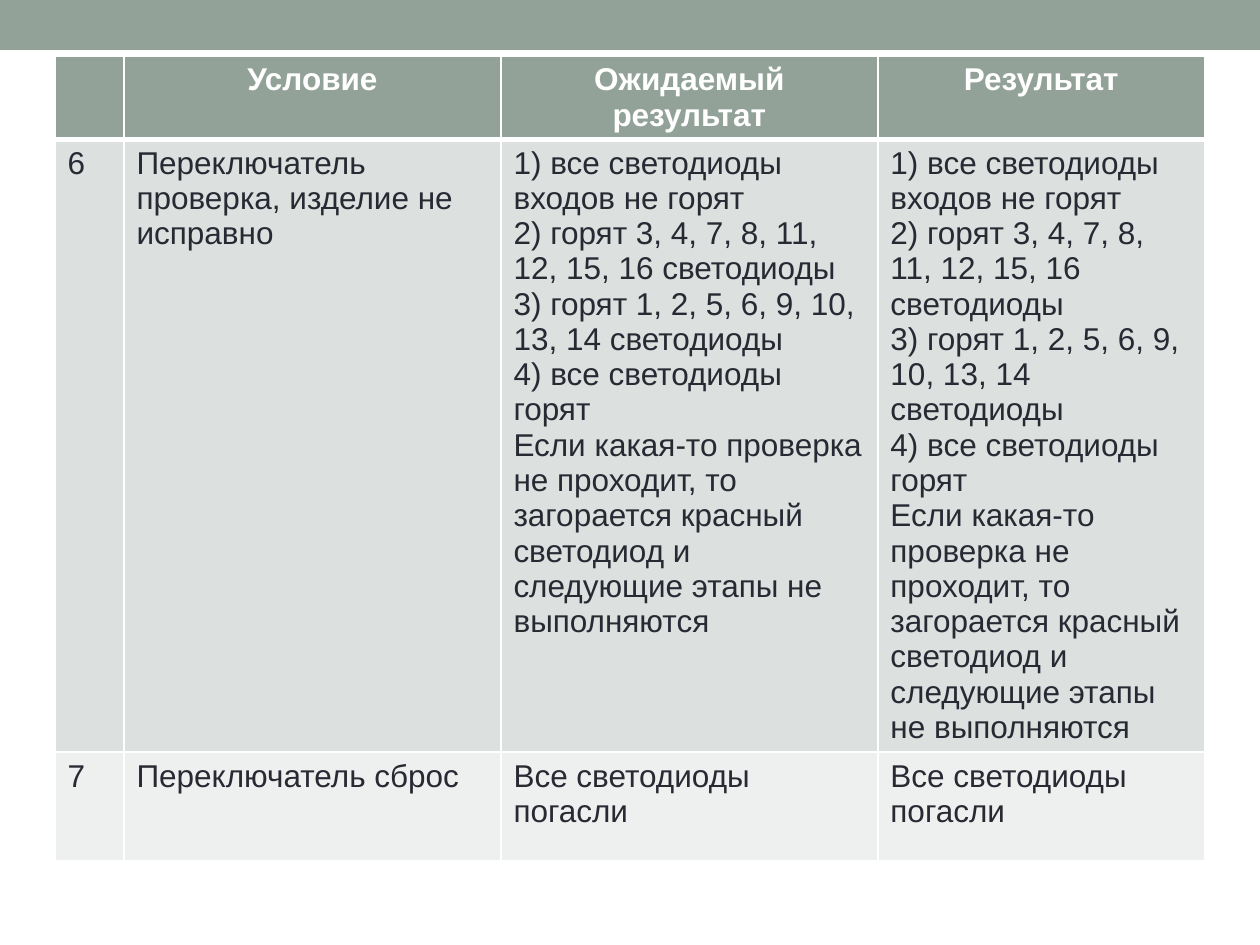
import pptx
import pptx.util
import pptx.dml.color
import pptx.enum.shapes
import pptx.enum.text
import pptx.oxml
import pptx.oxml.ns

PX = pptx.util.Inches(1) / 126
COLORS = {"sage": "93A299", "band1": "DCE0DE", "band2": "EEF0EF",
          "white": "FFFFFF", "ink": "292934"}
RGB = {name: pptx.dml.color.RGBColor.from_string(h) for name, h in COLORS.items()}


def px(n):
    return pptx.util.Emu(round(n * PX))


def set_borders(cell, widths):
    """Draw white borders; widths maps side letters to points."""
    tcPr = cell._tc.get_or_add_tcPr()
    for i, (side, pt) in enumerate(widths.items()):
        tcPr.insert(i, pptx.oxml.parse_xml(
            f'<a:ln{side} {pptx.oxml.ns.nsdecls("a")} w="{pptx.util.Pt(pt)}">'
            f'<a:solidFill><a:srgbClr val="{COLORS["white"]}"/></a:solidFill></a:ln{side}>'))


prs = pptx.Presentation()
prs.slide_width, prs.slide_height = px(1260), px(945)
s = prs.slides.add_slide(prs.slide_layouts[6])

bar = s.shapes.add_shape(pptx.enum.shapes.MSO_SHAPE.RECTANGLE, 0, 0, px(1260), px(50))
bar.shadow.inherit = False
bar.fill.solid()
bar.fill.fore_color.rgb = RGB["sage"]
bar.line.fill.background()

checks = "\n".join([
    "1) все светодиоды входов не горят",
    "2) горят 3, 4, 7, 8, 11, 12, 15, 16 светодиоды",
    "3) горят 1, 2, 5, 6, 9, 10, 13, 14 светодиоды",
    "4) все светодиоды горят",
    "Если какая-то проверка не проходит, то загорается красный светодиод "
    "и следующие этапы не выполняются",
])
all_off = "Все светодиоды погасли"
rows = [
    ["", "Условие", "Ожидаемый результат", "Результат"],
    ["6", "Переключатель проверка, изделие не исправно", checks, checks],
    ["7", "Переключатель сброс", all_off, all_off],
]
col_widths = [69, 377, 377, 327]
row_heights = [82, 613, 109]
fills = ["sage", "band1", "band2"]

table = s.shapes.add_table(len(rows), len(col_widths), px(55), px(56),
                           px(sum(col_widths)), px(sum(row_heights))).table
for col, width in zip(table.columns, col_widths):
    col.width = px(width)
for row, height in zip(table.rows, row_heights):
    row.height = px(height)

for i, texts in enumerate(rows):
    header = i == 0
    font = {"name": "Arial", "size": pptx.util.Pt(18), "bold": header}
    for j, text in enumerate(texts):
        cell = table.cell(i, j)
        cell.fill.solid()
        cell.fill.fore_color.rgb = RGB[fills[i]]
        set_borders(cell, {"L": 1, "R": 1, "T": 3 if i == 1 else 1, "B": 3 if header else 1})
        if not text:
            continue
        cell.text_frame.text = text
        for p in cell.text_frame.paragraphs:
            if header:
                p.alignment = pptx.enum.text.PP_ALIGN.CENTER
            for r in p.runs:
                for name, value in font.items():
                    setattr(r.font, name, value)
                r.font.color.rgb = RGB["white" if header else "ink"]

prs.save("out.pptx")
